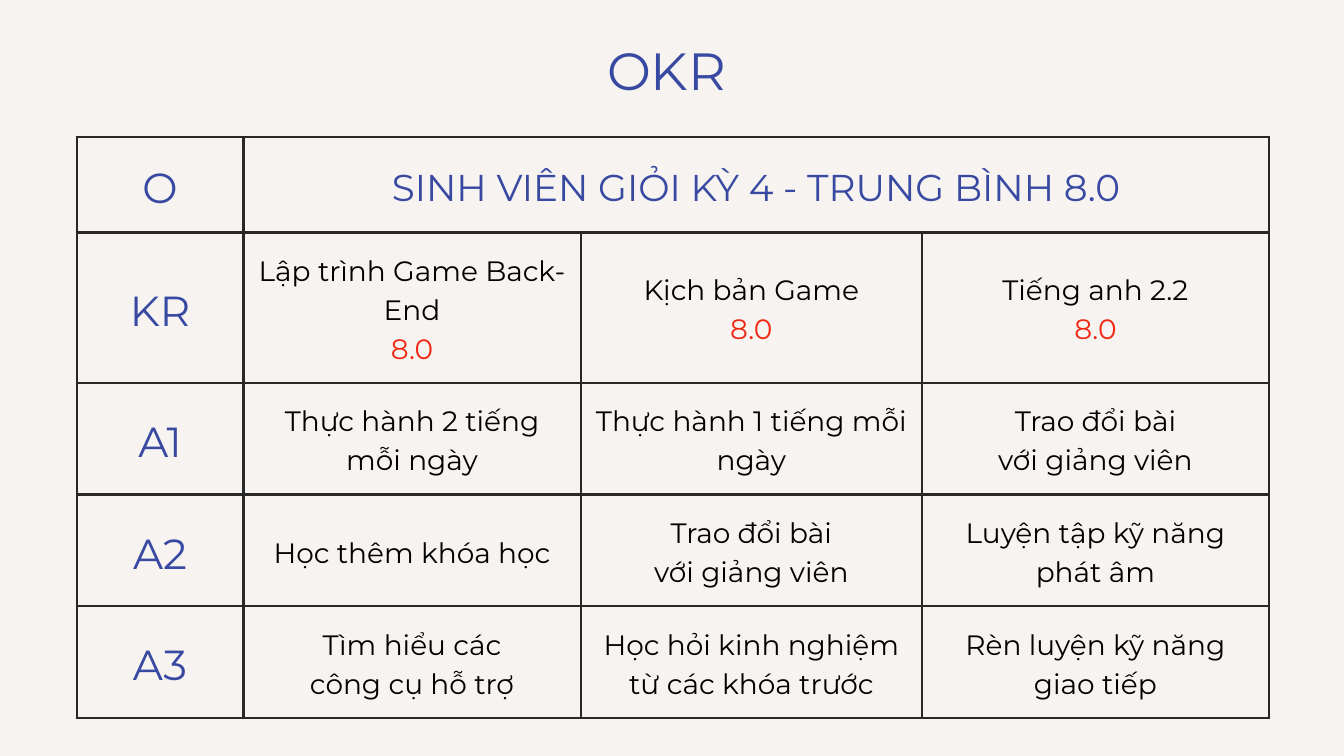
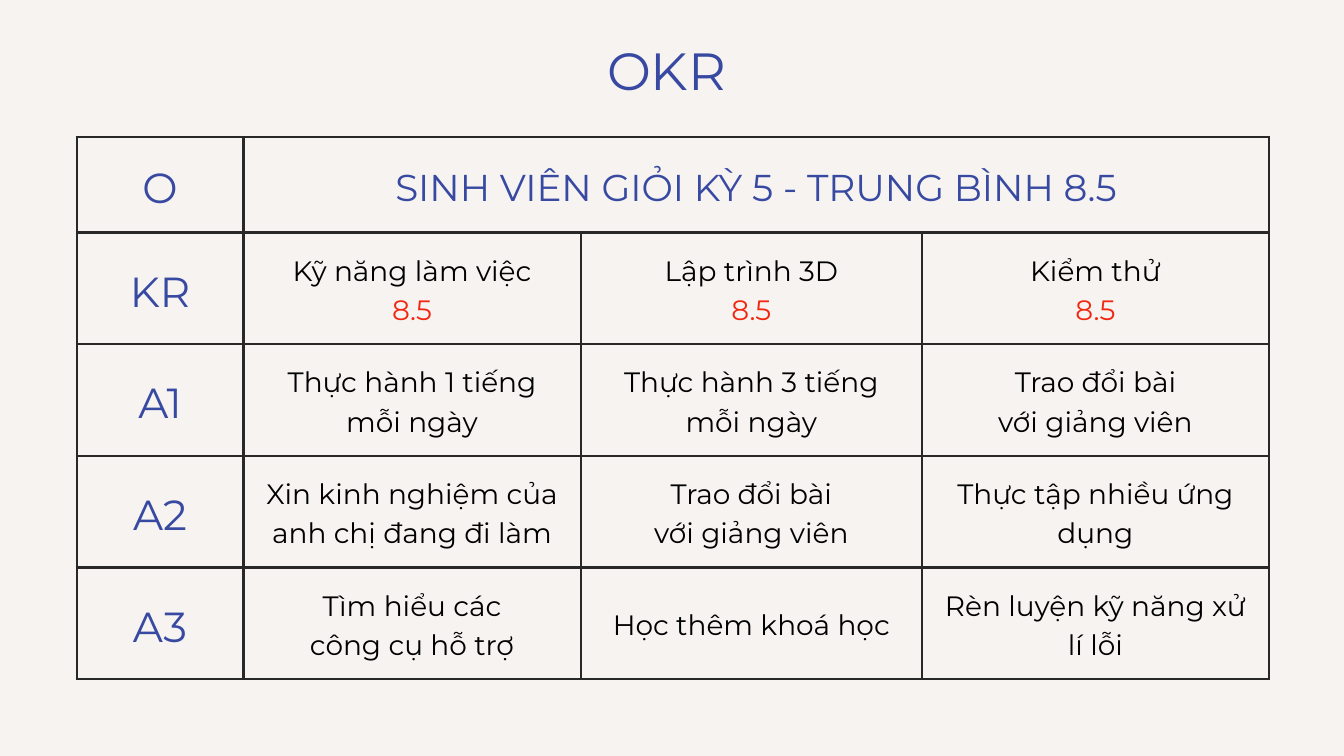
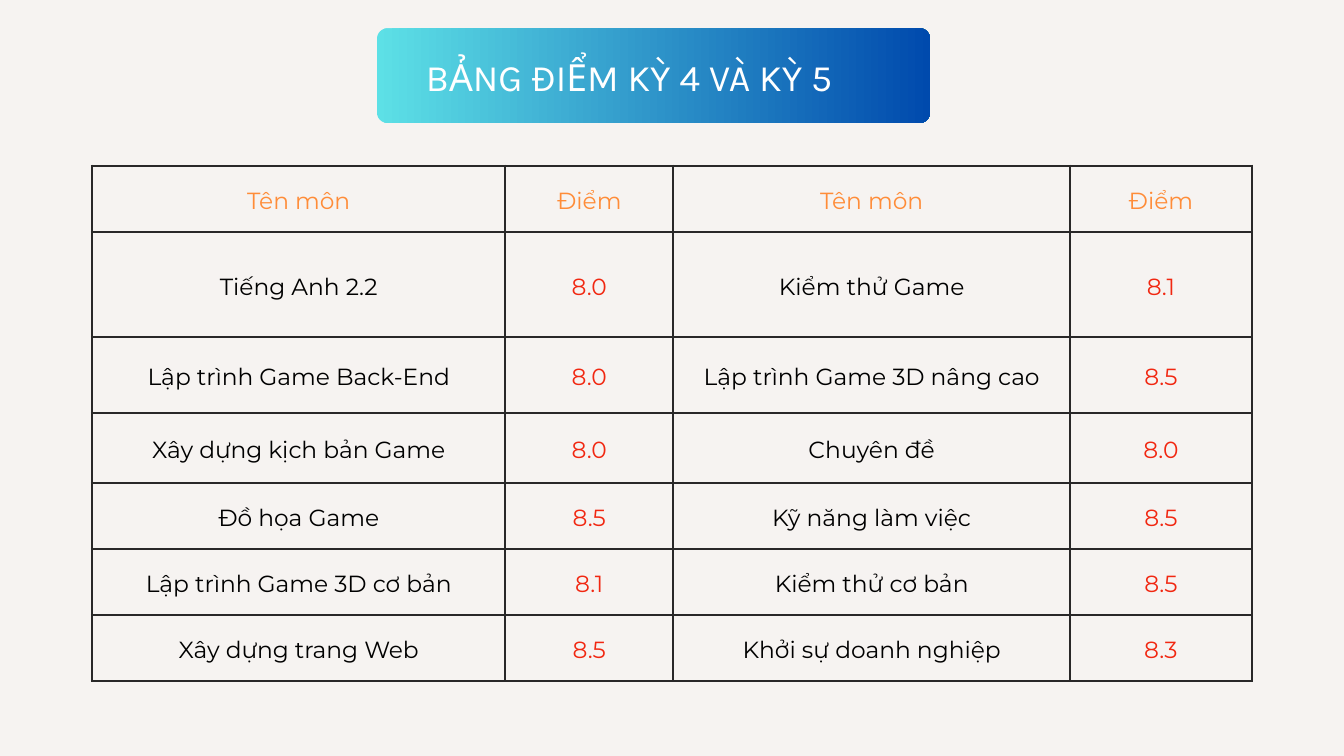
"""Build the OKR plans and the grade sheet for terms 4 and 5."""
from dataclasses import dataclass

from lxml import etree
from pptx import Presentation
from pptx import util as u
from pptx.dml import color
from pptx.enum import shapes, text
from pptx.oxml import ns


@dataclass(frozen=True)
class Style:
    """Size, colour and font of a line of text."""
    size: float
    color: str
    font: str = "Montserrat"


@dataclass(frozen=True)
class Theme:
    """Colours, type sizes and spacing that the slides share."""
    background: str = "F6F3F1"
    border: str = "292828"
    border_width: float = 2.84
    cell_margin: float = 0.51
    leading: float = 1.4
    gradient: tuple = ("5DE0E6", "004AAD")
    title: Style = Style(56, "3849A2")
    banner_title: Style = Style(40, "FFFFFF", "Karla")
    label: Style = Style(45, "3849A2")
    objective: Style = Style(40, "3849A2")
    body: Style = Style(30, "000000")
    target: Style = Style(30, "F12711")
    header: Style = Style(25, "FF8C38")
    subject: Style = Style(25, "000000")
    grade: Style = Style(25, "F12711")


THEME = Theme()
SIDES = ("left", "right", "top", "bottom")
ROW = 4.22
OKR_COLUMNS = (6.3, 12.75, 12.9, 13.11)
GRADE_COLUMNS = (15.62, 6.35, 14.99, 6.88)
GRADE_HEIGHTS = (2.49, 3.99, 2.87, 2.64, 2.49, 2.51, 2.49)

TERM_4 = (
    ("O", "SINH VIÊN GIỎI KỲ 4 - TRUNG BÌNH 8.0"),
    ("KR", "Lập trình Game Back-End\n8.0", "Kịch bản Game\n8.0", "Tiếng anh 2.2\n8.0"),
    ("A1", "Thực hành 2 tiếng mỗi ngày", "Thực hành 1 tiếng mỗi ngày",
     "Trao đổi bài\nvới giảng viên"),
    ("A2", "Học thêm khóa học", "Trao đổi bài\nvới giảng viên",
     "Luyện tập kỹ năng phát âm"),
    ("A3", "Tìm hiểu các\ncông cụ hỗ trợ", "Học hỏi kinh nghiệm\ntừ các khóa trước",
     "Rèn luyện kỹ năng giao tiếp"),
)
TERM_5 = (
    ("O", "SINH VIÊN GIỎI KỲ 5 - TRUNG BÌNH 8.5"),
    ("KR", "Kỹ năng làm việc\n8.5", "Lập trình 3D\n8.5", "Kiểm thử\n8.5"),
    ("A1", "Thực hành 1 tiếng mỗi ngày", "Thực hành 3 tiếng mỗi ngày",
     "Trao đổi bài\nvới giảng viên"),
    ("A2", "Xin kinh nghiệm của anh chị đang đi làm", "Trao đổi bài\nvới giảng viên",
     "Thực tập nhiều ứng dụng"),
    ("A3", "Tìm hiểu các\ncông cụ hỗ trợ", "Học thêm khoá học",
     "Rèn luyện kỹ năng xử lí lỗi"),
)
GRADES = (
    ("Tên môn", "Điểm", "Tên môn", "Điểm"),
    ("Tiếng Anh 2.2", "8.0", "Kiểm thử Game", "8.1"),
    ("Lập trình Game Back-End", "8.0", "Lập trình Game 3D nâng cao", "8.5"),
    ("Xây dựng kịch bản Game", "8.0", "Chuyên đề", "8.0"),
    ("Đồ họa Game", "8.5", "Kỹ năng làm việc", "8.5"),
    ("Lập trình Game 3D cơ bản", "8.1", "Kiểm thử cơ bản", "8.5"),
    ("Xây dựng trang Web", "8.5", "Khởi sự doanh nghiệp", "8.3"),
)


def apply_format(target, values):
    """Set each named attribute of the target."""
    for name, value in values.items():
        setattr(target, name, value)


def margins(length):
    """Return equal margins for all four sides."""
    return {f"margin_{side}": u.Cm(length) for side in SIDES}


def write(frame, content, style_of_line, alignment=text.PP_ALIGN.CENTER):
    """Write lines of text, each in the style chosen for its number."""
    frame.text = content
    for number, paragraph in enumerate(frame.paragraphs):
        style = style_of_line(number)
        apply_format(paragraph, {
            "alignment": alignment,
            "line_spacing": u.Pt(style.size * THEME.leading),
        })
        for run in paragraph.runs:
            apply_format(run.font, {"name": style.font, "size": u.Pt(style.size)})
            run.font.color.rgb = color.RGBColor.from_string(style.color)


def add_titled_slide(presentation, title, box, style, alignment=text.PP_ALIGN.CENTER):
    """Add a title-only slide with its title placed in the box."""
    slide = presentation.slides.add_slide(presentation.slide_layouts[5])
    shape = slide.shapes.title
    apply_format(shape, dict(zip(("left", "top", "width", "height"), map(u.Cm, box))))
    apply_format(shape.text_frame, {
        **margins(0),
        "word_wrap": True,
        "auto_size": text.MSO_AUTO_SIZE.NONE,
        "vertical_anchor": text.MSO_ANCHOR.TOP,
    })
    write(shape.text_frame, title, lambda line: style, alignment)
    return slide


def add_banner(slide, box):
    """Add a rounded gradient banner behind the slide title."""
    banner = slide.shapes.add_shape(
        shapes.MSO_SHAPE.ROUNDED_RECTANGLE, *map(u.Cm, box))
    banner.adjustments[0] = 0.11
    banner.shadow.inherit = False
    banner.line.fill.background()
    banner.fill.gradient()
    banner.fill.gradient_angle = 0
    for stop, value in zip(banner.fill.gradient_stops, THEME.gradient):
        stop.color.rgb = color.RGBColor.from_string(value)
    slide.shapes.title.element.addprevious(banner.element)


def add_borders(cell):
    """Draw the theme border on every side of a cell."""
    properties = cell._tc.get_or_add_tcPr()
    for position, tag in enumerate(("a:lnL", "a:lnR", "a:lnT", "a:lnB")):
        line = etree.Element(ns.qn(tag), w=str(u.Pt(THEME.border_width)))
        fill = etree.SubElement(line, ns.qn("a:solidFill"))
        etree.SubElement(fill, ns.qn("a:srgbClr"), val=THEME.border)
        properties.insert(position, line)


def add_grid(slide, left, top, widths, heights, rows, style_of):
    """Add a bordered table; a short row merges its last cell to the edge."""
    table = slide.shapes.add_table(
        len(heights), len(widths), u.Cm(left), u.Cm(top),
        u.Cm(sum(widths)), u.Cm(sum(heights))).table
    apply_format(table, {"first_row": False, "horz_banding": False})
    for column, width in zip(table.columns, widths):
        column.width = u.Cm(width)
    for row, height in zip(table.rows, heights):
        row.height = u.Cm(height)
    for cell in table.iter_cells():
        cell.fill.background()
        apply_format(cell, {
            **margins(THEME.cell_margin),
            "vertical_anchor": text.MSO_ANCHOR.MIDDLE,
        })
        add_borders(cell)
    for r, contents in enumerate(rows):
        if len(contents) < len(widths):
            table.cell(r, len(contents) - 1).merge(table.cell(r, len(widths) - 1))
        for c, content in enumerate(contents):
            write(table.cell(r, c).text_frame, content,
                  lambda line: style_of(r, c, line))


def okr_style(row, column, line):
    """Choose the style of a line in an OKR table."""
    if column == 0:
        return THEME.label
    if row == 0:
        return THEME.objective
    return THEME.target if row == 1 and line == 1 else THEME.body


def grade_style(row, column, line):
    """Choose the style of a line in the grade table."""
    if row == 0:
        return THEME.header
    return THEME.grade if column % 2 else THEME.subject


def add_okr_slide(presentation, rows, result_height):
    """Add the OKR plan of one term."""
    slide = add_titled_slide(
        presentation, "OKR", (22.91, 1.04, 4.57, 2.64), THEME.title)
    heights = (3.61, result_height, ROW, ROW, ROW)
    add_grid(slide, 2.9, 5.18, OKR_COLUMNS, heights, rows, okr_style)


def add_grade_slide(presentation):
    """Add the grade sheet under its banner."""
    slide = add_titled_slide(
        presentation, "BẢNG ĐIỂM KỲ 4 VÀ KỲ 5", (16.1, 1.78, 18.59, 1.91),
        THEME.banner_title, text.PP_ALIGN.LEFT)
    add_banner(slide, (14.25, 1.07, 20.9, 3.58))
    add_grid(slide, 3.48, 6.27, GRADE_COLUMNS, GRADE_HEIGHTS, GRADES, grade_style)


def main():
    """Build and save the presentation."""
    presentation = Presentation()
    apply_format(presentation, {"slide_width": u.Cm(50.8), "slide_height": u.Cm(28.58)})
    background = presentation.slide_master.background.fill
    background.solid()
    background.fore_color.rgb = color.RGBColor.from_string(THEME.background)
    add_okr_slide(presentation, TERM_4, 5.69)
    add_okr_slide(presentation, TERM_5, ROW)
    add_grade_slide(presentation)
    presentation.save("out.pptx")


if __name__ == "__main__":
    main()
